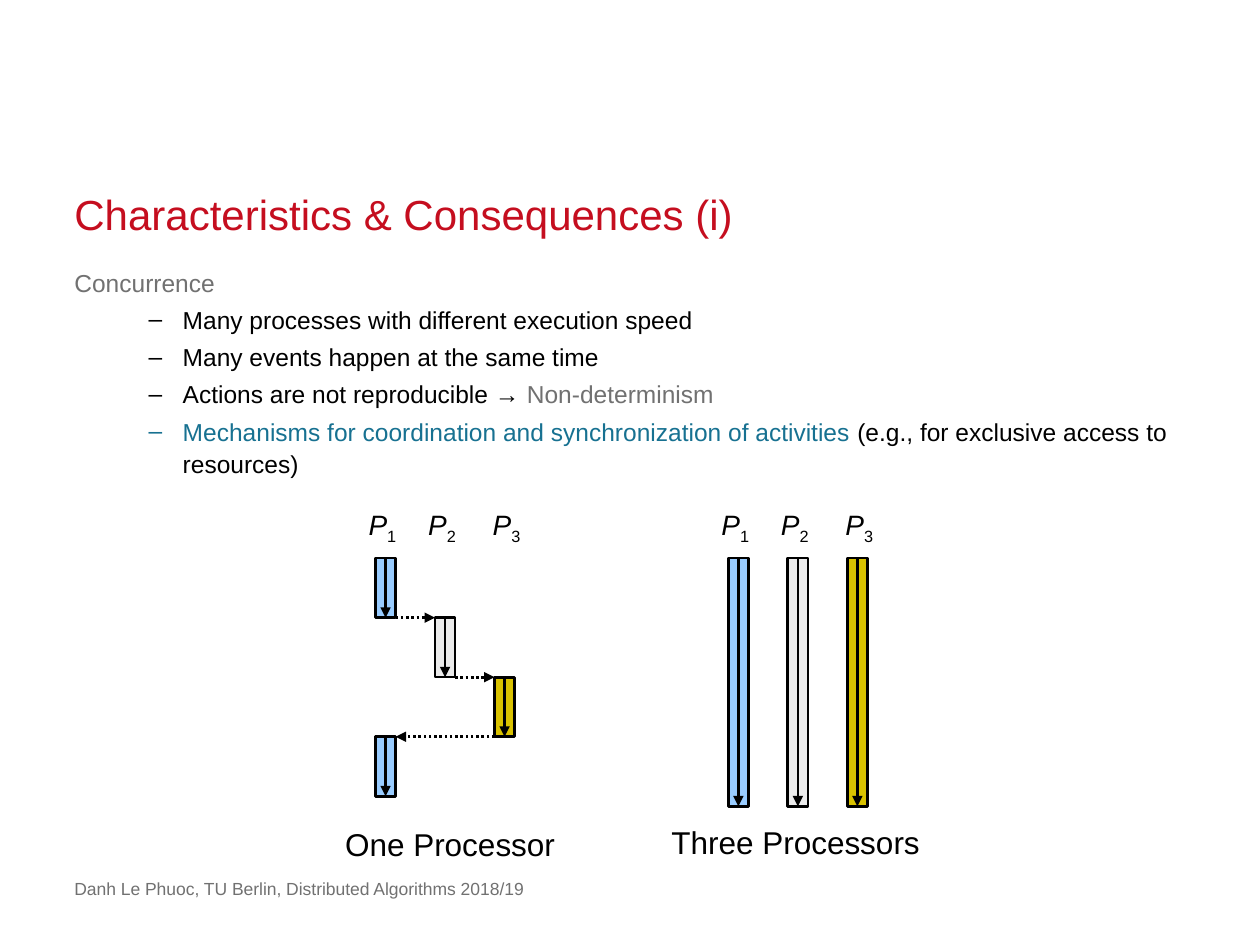
from dataclasses import dataclass

from lxml import etree
from pptx import Presentation
from pptx.dml.color import RGBColor
from pptx.enum.dml import MSO_LINE
from pptx.enum.shapes import MSO_CONNECTOR, MSO_SHAPE
from pptx.enum.text import MSO_ANCHOR, MSO_AUTO_SIZE, PP_ALIGN
from pptx.oxml.ns import qn
from pptx.util import Inches, Pt

RECTANGLE = MSO_SHAPE.RECTANGLE
STRAIGHT = MSO_CONNECTOR.STRAIGHT
DOTTED = MSO_LINE.ROUND_DOT
LEFT, CENTER = PP_ALIGN.LEFT, PP_ALIGN.CENTER
TOP, BOTTOM = MSO_ANCHOR.TOP, MSO_ANCHOR.BOTTOM
NO_AUTOFIT, FIT_SHAPE = MSO_AUTO_SIZE.NONE, MSO_AUTO_SIZE.SHAPE_TO_FIT_TEXT

FONT = "Arial"
COLORS = {
    "red": "C50E1F", "grey": "717171", "teal": "177191", "black": "000000",
    "process 1": "99CCFF", "process 2": "EBEBEB", "process 3": "D9C200",
}
BAR_WIDTH = 0.16
BAR_TOP = 4.43
STEP = 0.4725  # distance between lanes, and length of one time slice
LABEL_OFFSETS = (-0.16, -0.16, -0.12)


@dataclass
class Bar:
    """A period in which one process (1 to 3) runs."""
    process: int
    left: float
    top: float
    height: float

    @property
    def right(self) -> float:
        return self.left + BAR_WIDTH

    @property
    def bottom(self) -> float:
        return self.top + self.height


@dataclass
class Panel:
    """One of the two schedules, with its caption."""
    left: float
    caption: str
    caption_box: tuple[float, float, float, float]
    bars: list[Bar]


def lane_left(panel_left: float, process: int) -> float:
    return panel_left + (process - 1) * STEP


def color(name: str) -> RGBColor:
    return RGBColor.from_string(COLORS[name])


def place(box, left: float, top: float, width: float, height: float) -> None:
    box.left, box.top = Inches(left), Inches(top)
    box.width, box.height = Inches(width), Inches(height)


def set_frame(frame, anchor=TOP) -> None:
    frame.margin_left = frame.margin_right = 0
    frame.margin_top = frame.margin_bottom = 0
    frame.word_wrap = True
    frame.auto_size = NO_AUTOFIT
    frame.vertical_anchor = anchor


def add_span(para, text: str, size: float, color_name: str, italic: bool = False):
    span = para.add_run()
    span.text = text
    span.font.name, span.font.size = FONT, Pt(size)
    span.font.italic = italic
    span.font.color.rgb = color(color_name)
    return span


def set_indent(para, left: float, first: float, bullet: str = "") -> None:
    properties = para._p.get_or_add_pPr()
    properties.set("marL", str(Inches(left)))
    properties.set("indent", str(Inches(first)))
    if bullet:
        etree.SubElement(properties, qn("a:buChar")).set("char", bullet)
    else:
        etree.SubElement(properties, qn("a:buNone"))


def add_text_box(slide, left: float, top: float, width: float, height: float):
    return slide.shapes.add_textbox(
        Inches(left), Inches(top), Inches(width), Inches(height))


def add_label(slide, left: float, process: int) -> None:
    frame = add_text_box(slide, left, 3.98, 0.43, 0.37).text_frame
    frame.word_wrap, frame.auto_size = False, FIT_SHAPE
    para = frame.paragraphs[0]
    para.alignment = CENTER
    add_span(para, "P", 16, "black", italic=True)
    index = add_span(para, str(process), 16, "black")
    index._r.get_or_add_rPr().set("baseline", "-25000")


def add_arrow(slide, x1: float, y1: float, x2: float, y2: float, dash=None) -> None:
    arrow = slide.shapes.add_connector(
        STRAIGHT, Inches(x1), Inches(y1), Inches(x2), Inches(y2))
    arrow.line.color.rgb = color("black")
    arrow.line.width = Pt(1.5)
    if dash is not None:
        arrow.line.dash_style = dash
    line = arrow.line._get_or_add_ln()
    etree.SubElement(line, qn("a:tailEnd")).set("type", "triangle")
    etree.SubElement(arrow._element.spPr, qn("a:effectLst"))


def add_bar(slide, bar: Bar) -> None:
    box = slide.shapes.add_shape(
        RECTANGLE, Inches(bar.left), Inches(bar.top),
        Inches(BAR_WIDTH), Inches(bar.height))
    box.shadow.inherit = False
    box.fill.solid()
    box.fill.fore_color.rgb = color(f"process {bar.process}")
    box.line.color.rgb = color("black")
    box.line.width = Pt(1.5)
    middle = bar.left + BAR_WIDTH / 2
    add_arrow(slide, middle, bar.top, middle, bar.bottom)


def add_switch(slide, before: Bar, after: Bar) -> None:
    """Dotted arrow from one running process to the next."""
    if after.left > before.left:
        start, end = before.right, after.left
    else:
        start, end = before.left, after.right
    add_arrow(slide, start, after.top, end, after.top, DOTTED)


def add_panel(slide, panel: Panel) -> None:
    for bar in panel.bars:
        add_bar(slide, bar)
    for process, offset in enumerate(LABEL_OFFSETS, 1):
        add_label(slide, lane_left(panel.left, process) + offset, process)
    frame = add_text_box(slide, *panel.caption_box).text_frame
    frame.word_wrap, frame.auto_size = False, FIT_SHAPE
    add_span(frame.paragraphs[0], panel.caption, 18, "black")


BULLETS = [
    [("Many processes with different execution speed", "black")],
    [("Many events happen at the same time", "black")],
    [("Actions are not reproducible → ", "black"), ("Non-determinism", "grey")],
    [("Mechanisms for coordination and synchronization of activities ", "teal"),
     ("(e.g., for exclusive access to resources)", "black")],
]
ONE = Panel(2.98, "One Processor", (2.64, 6.5, 1.88, 0.4), [
    Bar(process, lane_left(2.98, process), BAR_TOP + turn * STEP, STEP)
    for turn, process in enumerate((1, 2, 3, 1))])
THREE = Panel(5.78, "Three Processors", (5.23, 6.48, 2.19, 0.4), [
    Bar(process, lane_left(5.78, process), BAR_TOP, 1.97)
    for process in (1, 2, 3)])


def main() -> None:
    deck = Presentation()
    deck.slide_width, deck.slide_height = Inches(10), Inches(7.5)
    slide = deck.slides.add_slide(deck.slide_layouts[1])

    # Title
    title = slide.shapes.title
    place(title, 0.59, 1.48, 8.82, 0.42)
    set_frame(title.text_frame, BOTTOM)
    para = title.text_frame.paragraphs[0]
    para.alignment, para.line_spacing = LEFT, Pt(30)
    add_span(para, "Characteristics & Consequences (i)", 24, "red")

    # Topic and its bullets
    body = slide.placeholders[1]
    place(body, 0.59, 2.1, 8.82, 4.45)
    set_frame(body.text_frame)
    para = body.text_frame.paragraphs[0]
    para.line_spacing, para.space_before = 1.1, Pt(0)
    set_indent(para, 0.38, -0.38)
    add_span(para, "Concurrence", 14, "grey")
    for spans in BULLETS:
        para = body.text_frame.add_paragraph()
        para.level, para.line_spacing = 1, 1.1
        set_indent(para, 0.86, -0.27, "–")
        for text, color_name in spans:
            add_span(para, text, 14, color_name)

    # Footer
    footer = add_text_box(slide, 0.59, 6.97, 7.24, 0.17)
    set_frame(footer.text_frame)
    add_span(footer.text_frame.paragraphs[0],
             "Danh Le Phuoc, TU Berlin, Distributed Algorithms 2018/19", 10, "grey")

    # Schedules
    for panel in (ONE, THREE):
        add_panel(slide, panel)
    for before, after in zip(ONE.bars, ONE.bars[1:]):
        add_switch(slide, before, after)

    deck.save("out.pptx")


if __name__ == "__main__":
    main()
